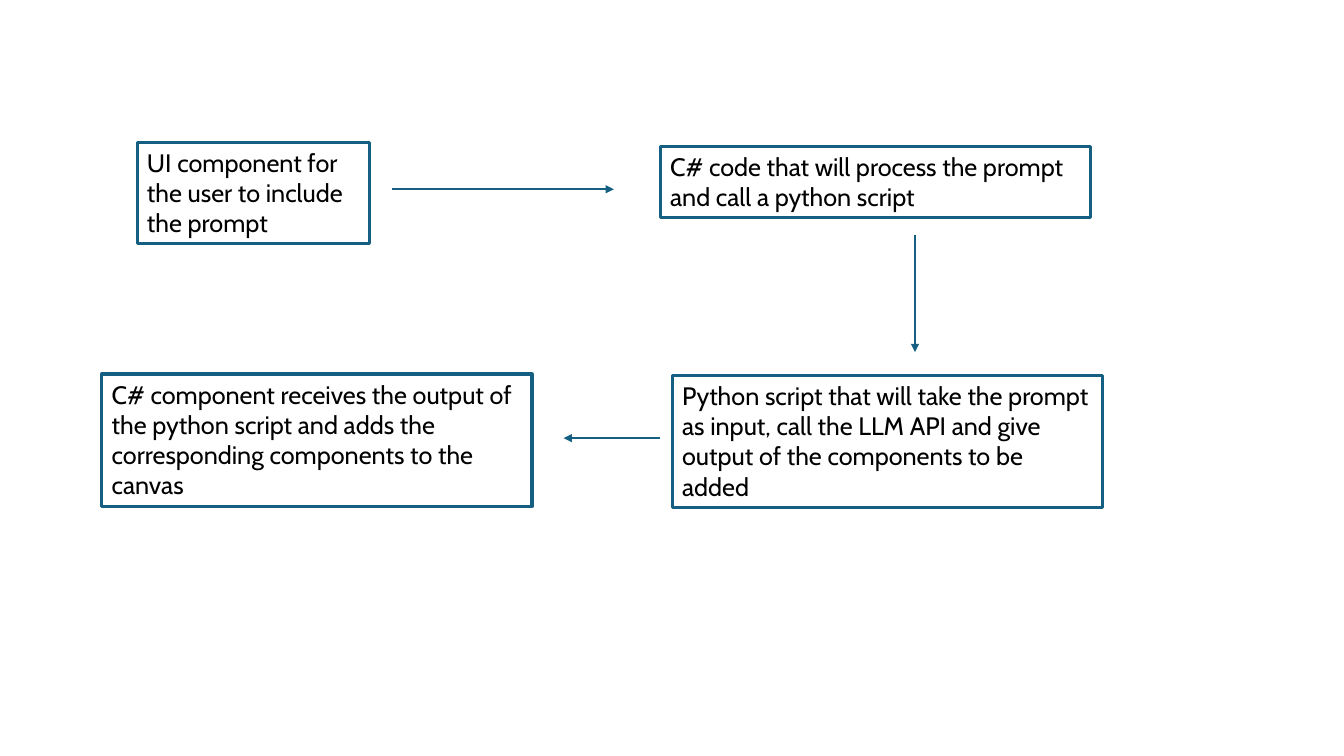
from dataclasses import dataclass

import pptx
import pptx.dml.color
import pptx.enum.shapes
import pptx.enum.text
import pptx.oxml
import pptx.oxml.ns
import pptx.util
from pptx.util import Pt


@dataclass(frozen=True)
class Theme:
    accent: str = "156082"
    ink: str = "000000"
    paper: str = "FFFFFF"
    font: str = "Cabin"
    body_size: float = 18
    box_line: float = 2.25
    arrow_line: float = 1.5


THEME = Theme()
WIDE_STEP = 307.4

STEPS = [
    ("UI component for the user to include the prompt", 97.9, 101.5, 166.3, 72.7),
    ("C# code that will process the prompt and call a python script",
     471.6, 104.6, WIDE_STEP, 50.9),
    ("Python script that will take the prompt as input, call the LLM API and give "
     "output of the components to be added", 480.2, 268, WIDE_STEP, 94.5),
    ("C# component receives the output of the python script and adds the "
     "corresponding components to the canvas", 72.7, 267.2, WIDE_STEP, 94.5),
]

FLOWS = [
    ((280, 135.2), (438.5, 135.2)),
    ((653.6, 167.8), (653.6, 251.5)),
    ((471.6, 313), (402.6, 313)),
]


def color(value):
    return pptx.dml.color.RGBColor.from_string(value)


def write(frame, text, *, size, font, ink):
    frame.word_wrap = True
    frame.auto_size = pptx.enum.text.MSO_AUTO_SIZE.SHAPE_TO_FIT_TEXT
    run = frame.paragraphs[0].add_run()
    run.text = text
    run.font.size = Pt(size)
    run.font.name = font
    run.font.color.rgb = color(ink)


def add_step(slide, text, left, top, width, height):
    step = slide.shapes.add_textbox(Pt(left), Pt(top), Pt(width), Pt(height))
    step.line.color.rgb = color(THEME.accent)
    step.line.width = Pt(THEME.box_line)
    write(step.text_frame, text, size=THEME.body_size, font=THEME.font, ink=THEME.ink)


def add_flow(slide, start, end):
    flow = slide.shapes.add_connector(
        pptx.enum.shapes.MSO_CONNECTOR.STRAIGHT, *map(Pt, start + end)
    )
    flow.line.color.rgb = color(THEME.accent)
    flow.line.width = Pt(THEME.arrow_line)
    arrowhead = pptx.oxml.parse_xml(
        f'<a:tailEnd {pptx.oxml.ns.nsdecls("a")} type="triangle"/>'
    )
    flow.line._get_or_add_ln().append(arrowhead)
    no_effects = pptx.oxml.parse_xml(f'<a:effectLst {pptx.oxml.ns.nsdecls("a")}/>')
    flow._element.spPr.append(no_effects)


def main():
    deck = pptx.Presentation()
    deck.slide_width, deck.slide_height = Pt(960), Pt(540)
    slide = deck.slides.add_slide(deck.slide_layouts.get_by_name("Blank"))
    slide.background.fill.solid()
    slide.background.fill.fore_color.rgb = color(THEME.paper)
    for step in STEPS:
        add_step(slide, *step)
    for start, end in FLOWS:
        add_flow(slide, start, end)
    deck.save("out.pptx")


if __name__ == "__main__":
    main()
